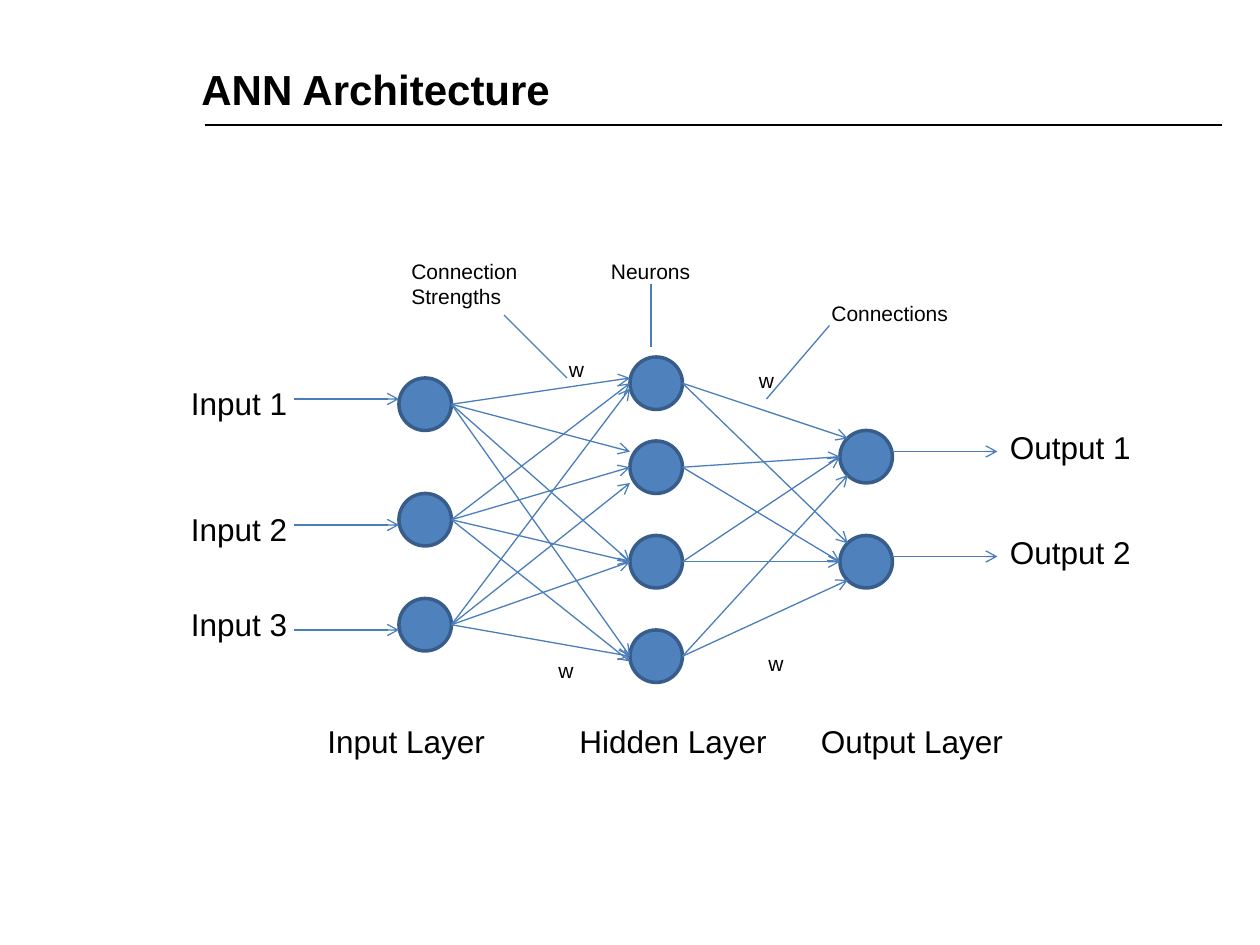
from dataclasses import dataclass
from itertools import product
from lxml.etree import SubElement
from pptx import Presentation
from pptx.dml.color import RGBColor
from pptx.enum.shapes import MSO_CONNECTOR as Connector, MSO_SHAPE as Shape
from pptx.enum.text import MSO_ANCHOR as Anchor, MSO_AUTO_SIZE as AutoSize
from pptx.oxml.ns import qn
from pptx.util import Inches, Pt

COLORS = {"text": "000000", "neuron": "4F81BD", "outline": "385D8A", "link": "4A7EBB"}
COLUMNS, ROWS = 120, 90
WIDTH, HEIGHT = Inches(10), Inches(7.5)
DIAMETER = 5
RADIUS = DIAMETER / 2
DIAGONAL = 1.75


@dataclass(frozen=True)
class Label:
    text: str
    column: float
    row: float
    width: float
    height: float = 3.6
    size: int = 12
    bold: bool = False
    wrap: bool = False
    anchor: Anchor = Anchor.TOP
    fit: AutoSize = AutoSize.SHAPE_TO_FIT_TEXT


@dataclass(frozen=True)
class Layer:
    column: float
    rows: tuple[float, ...]

    @property
    def right(self) -> float:
        return self.column + DIAMETER

    def middle(self, index: int) -> float:
        return self.rows[index] + RADIUS


@dataclass(frozen=True)
class Link:
    start: tuple[float, float]
    end: tuple[float, float]
    arrow: bool = True
    color: str = "link"


def across(column: float) -> int:
    return round(WIDTH * column / COLUMNS)


def down(row: float) -> int:
    return round(HEIGHT * row / ROWS)


def color(name: str) -> RGBColor:
    return RGBColor.from_string(COLORS[name])


def apply(target, values: dict) -> None:
    for name, value in values.items():
        setattr(target, name, value)


def draw_label(slide, label: Label) -> None:
    box = slide.shapes.add_textbox(
        across(label.column), down(label.row), across(label.width), down(label.height))
    frame = box.text_frame
    frame.text = label.text
    apply(frame, {"word_wrap": label.wrap, "auto_size": label.fit,
                  "vertical_anchor": label.anchor})
    for paragraph in frame.paragraphs:
        apply(paragraph.font, {"name": "Arial", "size": Pt(label.size), "bold": label.bold})
        paragraph.font.color.rgb = color("text")


def draw_layer(slide, layer: Layer) -> None:
    for row in layer.rows:
        neuron = slide.shapes.add_shape(
            Shape.OVAL, across(layer.column), down(row), across(DIAMETER), down(DIAMETER))
        neuron.shadow.inherit = False
        neuron.fill.solid()
        neuron.fill.fore_color.rgb = color("neuron")
        neuron.line.color.rgb = color("outline")
        neuron.line.width = Pt(2)


def draw_link(slide, link: Link) -> None:
    (left, top), (right, bottom) = link.start, link.end
    connector = slide.shapes.add_connector(
        Connector.STRAIGHT, across(left), down(top), across(right), down(bottom))
    connector.line.color.rgb = color(link.color)
    connector.line.width = Pt(0.75)
    properties = connector._element.spPr
    if link.arrow:
        SubElement(properties.find(qn("a:ln")), qn("a:tailEnd"), type="arrow")
    SubElement(properties, qn("a:effectLst"))


INPUT = Layer(38, (36, 47, 57))
HIDDEN = Layer(60, (34, 42, 51, 60))
OUTPUT = Layer(80, (41, 51))

HIDDEN_SHIFTS = ((-0.5, -1.5, 0, 0), (0, 0, 0, 0.5), (0.5, 1.5, 0, 0))
OUTPUT_SHIFTS = (-DIAGONAL, 0, 0, DIAGONAL)


def hidden_link(source: int, target: int) -> Link:
    shift = HIDDEN_SHIFTS[source][target]
    return Link((INPUT.right, INPUT.middle(source)),
                (HIDDEN.column, HIDDEN.middle(target) + shift))


def output_link(source: int, target: int) -> Link:
    shift = OUTPUT_SHIFTS[source]
    inset = RADIUS - DIAGONAL if shift else 0
    return Link((HIDDEN.right, HIDDEN.middle(source)),
                (OUTPUT.column + inset, OUTPUT.middle(target) + shift))


LINKS = [
    Link((19.5, 11.9), (116.4, 11.9), arrow=False, color="text"),
    *(hidden_link(*pair) for pair in product(range(3), range(4))),
    *(output_link(*pair) for pair in product(range(4), range(2))),
    *(Link((28, row), (INPUT.column, row)) for row in (38, 50, 60)),
    *(Link((OUTPUT.right, row + 2), (95, row + 2)) for row in OUTPUT.rows),
    Link((48, 30), (54, 36), arrow=False),
    Link((73, 38), (79, 31), arrow=False),
    Link((62, 27), (62, 33), arrow=False),
]

LABELS = [
    Label("ANN Architecture", 18, 0.9, 108, 15, 24, True, True, Anchor.MIDDLE, AutoSize.NONE),
    *(Label(f"Input {number}", 17, row, 12, 4.8, 18)
      for number, row in enumerate((36, 48, 57), 1)),
    *(Label(f"Output {number}", 95, row - 0.8, 14.4, 4.8, 18)
      for number, row in enumerate(OUTPUT.rows, 1)),
    *(Label(f"{name} Layer", column, 68.2, width, 4.8, 18, wrap=True)
      for name, column, width in (("Input", 30, 17.6), ("Hidden", 54, 21), ("Output", 77, 20))),
    Label("Connection\nStrengths", 38, 24, 13, 8.4),
    Label("Neurons", 57, 24, 10.4),
    Label("Connections", 78, 28, 14),
    *(Label("w", column, row, 4)
      for column, row in ((53, 33.4), (71.1, 34.4), (52, 62), (72, 61.4))),
]


def main() -> None:
    presentation = Presentation()
    apply(presentation, {"slide_width": WIDTH, "slide_height": HEIGHT})
    slide = presentation.slides.add_slide(presentation.slide_layouts[6])
    for layer in (INPUT, HIDDEN, OUTPUT):
        draw_layer(slide, layer)
    for link in LINKS:
        draw_link(slide, link)
    for label in LABELS:
        draw_label(slide, label)
    presentation.save("out.pptx")


if __name__ == "__main__":
    main()
